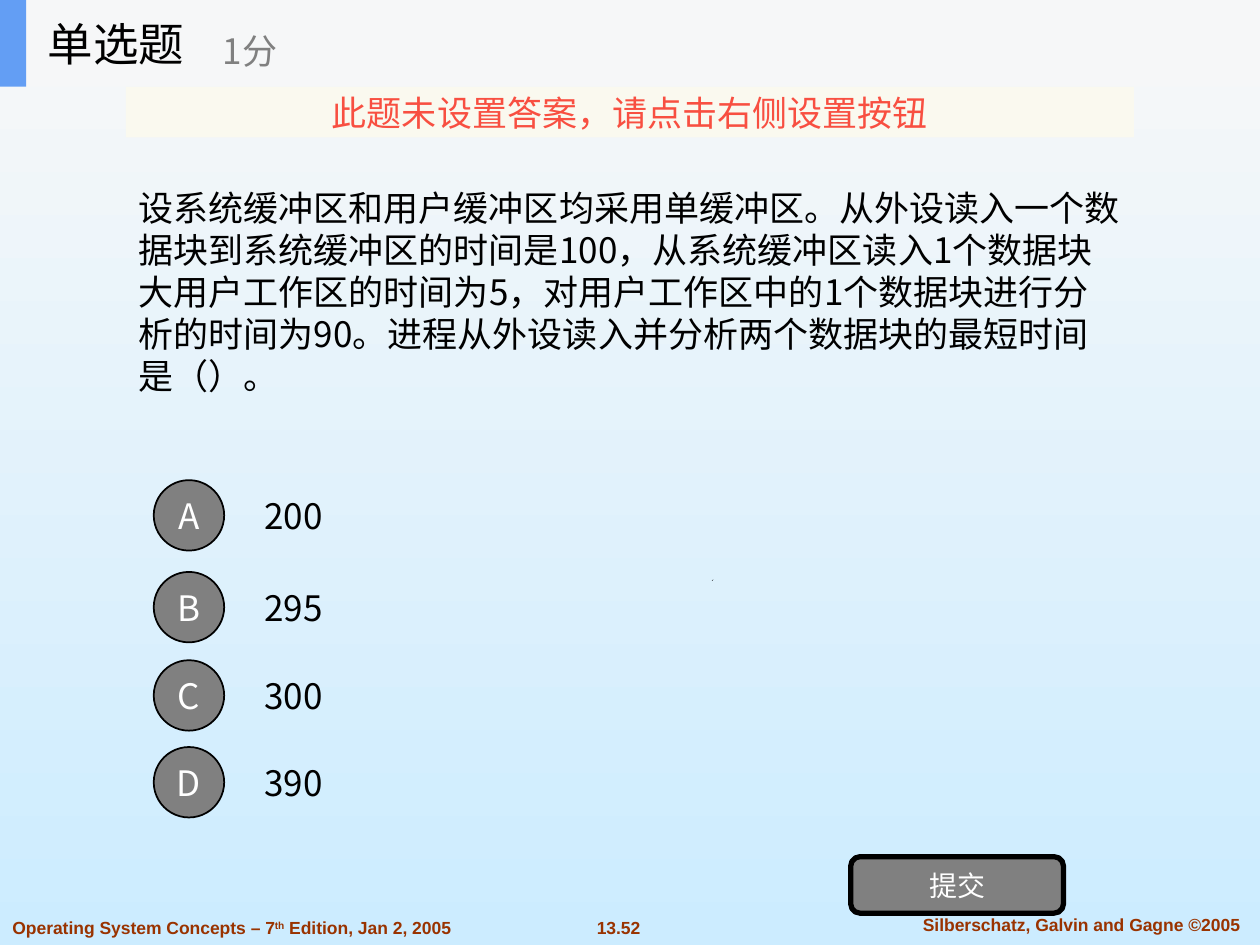
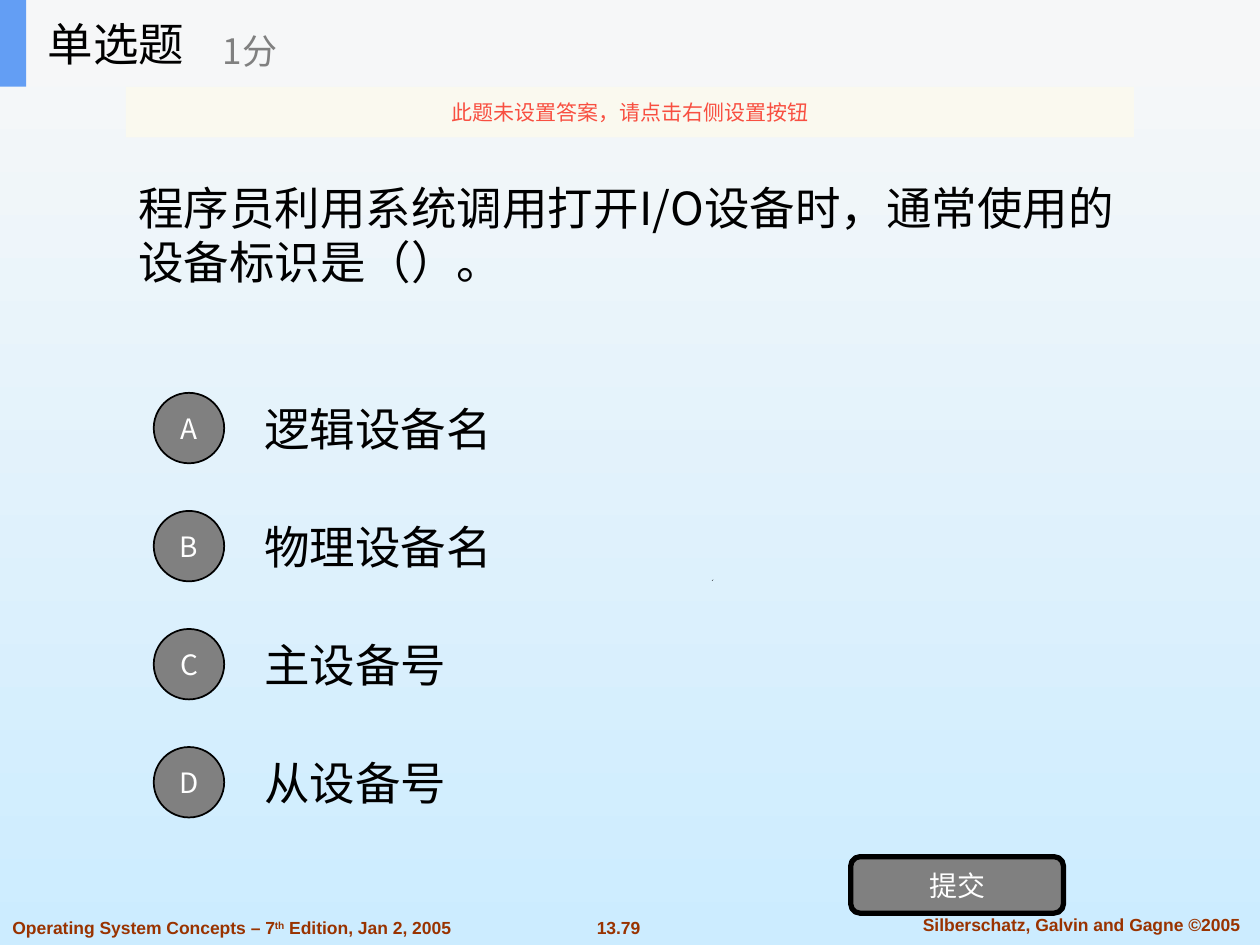
from lxml import etree
from pptx import Presentation
from pptx.dml.color import RGBColor
from pptx.enum.shapes import MSO_SHAPE
from pptx.enum.text import MSO_ANCHOR, PP_ALIGN
from pptx.oxml.ns import qn
from pptx.util import Cm, Pt

RECTANGLE, ROUNDED, OVAL = MSO_SHAPE.RECTANGLE, MSO_SHAPE.ROUNDED_RECTANGLE, MSO_SHAPE.OVAL
LEFT, CENTER, MIDDLE = PP_ALIGN.LEFT, PP_ALIGN.CENTER, MSO_ANCHOR.MIDDLE

# Theme: colours, fonts and type sizes
THEME = {
    "colours": {
        "black": "000000", "white": "FFFFFF", "grey": "808080",
        "sky_top": "F8F8F8", "sky_bottom": "CCECFF",
        "header": "F6F7F8", "accent": "639EF4",
        "notice": "FBFAEF", "warning": "F84F41", "footer": "993300",
    },
    "body_font": "Noto Sans CJK SC",
    "footer_font": "Arial",
    "sizes": {"title": 26, "points": 20, "button": 16, "footer": 10},
}
COLOURS = {name: RGBColor.from_string(code) for name, code in THEME["colours"].items()}
SIZES = THEME["sizes"]
FOOTER = {"name": THEME["footer_font"], "bold": True}

# What differs from slide to slide
QUESTIONS = [
    {
        "number": "13.52",
        "question": "设系统缓冲区和用户缓冲区均采用单缓冲区。从外设读入一个数据块到系统缓冲区的时间是100，"
                    "从系统缓冲区读入1个数据块大用户工作区的时间为5，对用户工作区中的1个数据块进行分析的时间为90。"
                    "进程从外设读入并分析两个数据块的最短时间是（）。",
        "question_top": 2.9,
        "options": ["200", "295", "300", "390"],
        "option_tops": [9.5, 11.35, 13.13, 14.88],
        "text_size": 20, "letter_size": 20, "notice_size": 20,
    },
    {
        "number": "13.79",
        "question": "程序员利用系统调用打开I/O设备时，通常使用的设备标识是（）。",
        "question_top": 1.75,
        "options": ["逻辑设备名", "物理设备名", "主设备号", "从设备号"],
        "option_tops": [7.74 + 2.38 * row for row in range(4)],
        "text_size": 26, "letter_size": 16, "notice_size": 12,
    },
]


def write(box, text, size, colour, align=LEFT, wrap=True, **formats):
    """Fill a box with one paragraph; text is a string or (string, baseline) pairs."""
    frame = box.text_frame
    frame.word_wrap = wrap
    frame.vertical_anchor = MIDDLE
    para = frame.paragraphs[0]
    para.alignment = align
    formats = {"name": THEME["body_font"], "size": Pt(size), **formats}
    for words, baseline in [(text, 0)] if isinstance(text, str) else text:
        span = para.add_run()
        span.text = words
        for attribute, value in formats.items():
            setattr(span.font, attribute, value)
        span.font.color.rgb = COLOURS[colour]
        properties = span.font._element
        etree.SubElement(properties, qn("a:ea")).set("typeface", formats["name"])
        if baseline:
            properties.set("baseline", str(baseline * 1000))


def draw(shapes, kind, place, fill, line_width=0):
    """Add a flat preset shape, with a black outline if a width is given."""
    shape = shapes.add_shape(kind, *map(Cm, place))
    shape.shadow.inherit = False
    shape.fill.solid()
    shape.fill.fore_color.rgb = COLOURS[fill]
    if line_width:
        shape.line.color.rgb = COLOURS["black"]
        shape.line.width = Pt(line_width)
    else:
        shape.line.fill.background()
    return shape


deck = Presentation()
deck.slide_width, deck.slide_height = Cm(25.4), Cm(19.05)

for item in QUESTIONS:
    page = deck.slides.add_slide(deck.slide_layouts[6])
    shapes = page.shapes

    # Background gradient, top to bottom
    sky = page.background.fill
    sky.gradient()
    sky.gradient_angle = 270
    for stop, colour in zip(sky.gradient_stops, ("sky_top", "sky_bottom")):
        stop.color.rgb = COLOURS[colour]

    # Footers
    edition = [("Operating System Concepts – 7", 0), ("th", 30), (" Edition, Jan 2, 2005", 0)]
    for text, place, align, wrap in (
        (item["number"], (11.76, 18.36, 1.42, 0.69), CENTER, False),
        ("Silberschatz, Galvin and Gagne ©2005", (18.03, 18.29, 7.54, 0.69), CENTER, True),
        (edition, (0, 18.36, 9.37, 0.69), LEFT, True),
    ):
        box = shapes.add_textbox(*map(Cm, place))
        write(box, text, SIZES["footer"], "footer", align, wrap, **FOOTER)

    # Small speck on the background
    outline = shapes.build_freeform(Cm(14.35), Cm(11.71))
    outline.add_line_segments([(Cm(14.36), Cm(11.71)), (Cm(14.38), Cm(11.68))])
    speck = outline.convert_to_shape()
    speck.shadow.inherit = False
    speck.fill.solid()
    speck.fill.fore_color.rgb = COLOURS["black"]
    speck.line.fill.background()

    # Question
    box = shapes.add_textbox(Cm(2.54), Cm(item["question_top"]), Cm(20.32), Cm(5.94))
    write(box, item["question"], item["text_size"], "black")

    # Options with lettered circles
    for letter, option, top in zip("ABCD", item["options"], item["option_tops"]):
        box = shapes.add_textbox(Cm(5.08), Cm(top), Cm(17.78), Cm(1.78))
        write(box, option, item["text_size"], "black")
        circle = draw(shapes, OVAL, (3.1, top + 0.18, 1.42, 1.42), "grey", 1)
        write(circle, letter, item["letter_size"], "white", CENTER, False)

    # Submit button
    button = draw(shapes, ROUNDED, (17.15, 17.27, 4.29, 1.14), "grey", 3)
    write(button, "提交", SIZES["button"], "white", CENTER, False)

    # Header band
    header = shapes.add_group_shape().shapes
    draw(header, RECTANGLE, (0, 0, 25.4, 1.75), "header")
    draw(header, RECTANGLE, (0, 0, 0.53, 1.75), "accent")
    for text, place, size, colour in (
        ("单选题", (0.71, 0, 5.28, 1.75), SIZES["title"], "black"),
        ("1分", (4.24, 0.3, 6.35, 1.42), SIZES["points"], "grey"),
    ):
        write(header.add_textbox(*map(Cm, place)), text, size, colour)

    # Notice below the header, slightly transparent
    notice = draw(shapes, RECTANGLE, (2.54, 1.75, 20.32, 1.02), "notice")
    tint = notice._element.spPr.find(qn("a:solidFill")).find(qn("a:srgbClr"))
    etree.SubElement(tint, qn("a:alpha")).set("val", "90000")
    write(notice, "此题未设置答案，请点击右侧设置按钮", item["notice_size"], "warning", CENTER, False)

deck.save("out.pptx")
